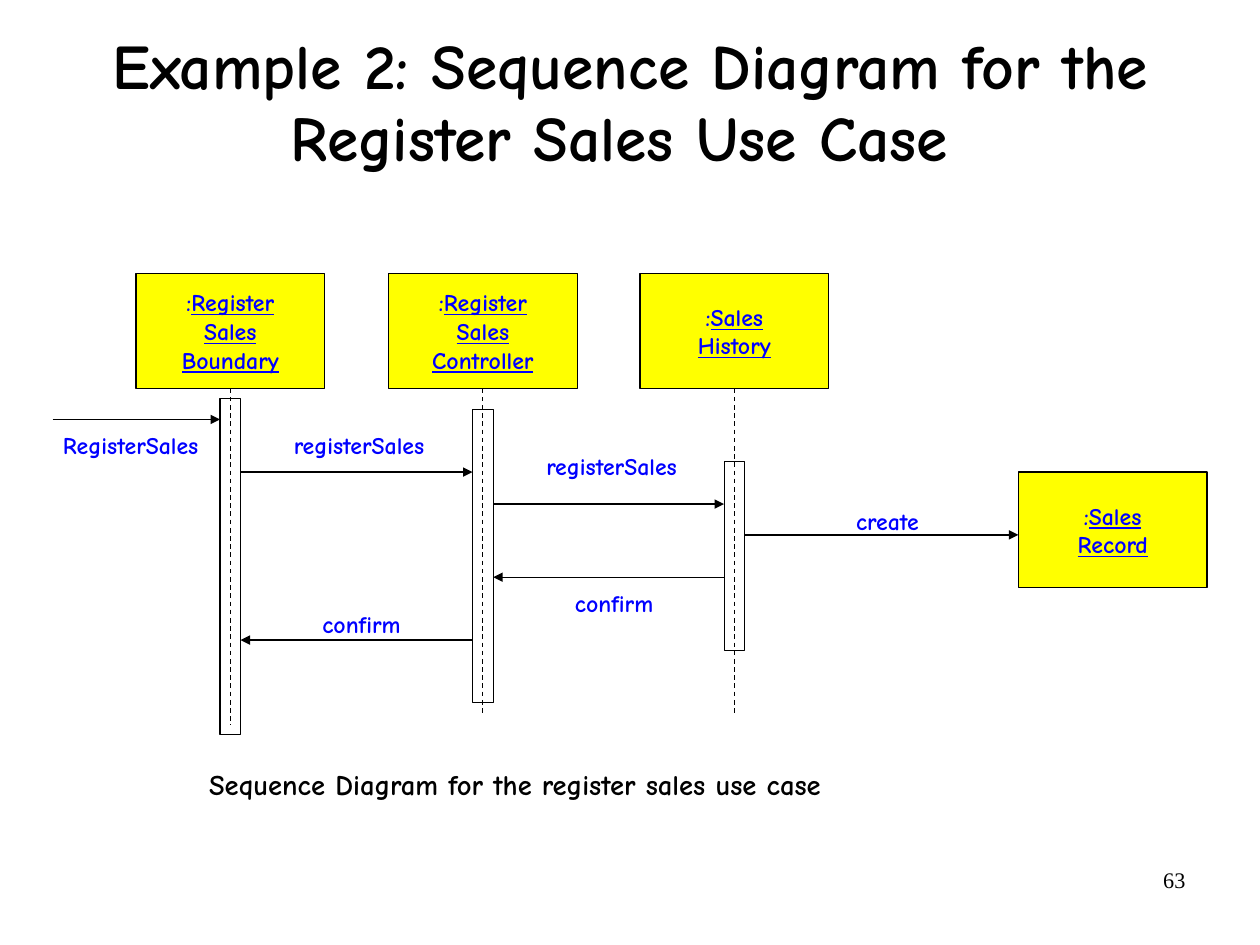
from dataclasses import dataclass
from typing import Optional

from lxml.etree import SubElement
from pptx import Presentation
from pptx.dml.color import RGBColor
from pptx.enum.dml import MSO_LINE
from pptx.enum.shapes import MSO_CONNECTOR, MSO_SHAPE
from pptx.enum.text import MSO_ANCHOR, PP_ALIGN
from pptx.oxml.ns import qn
from pptx.util import Cm, Inches, Pt

COLORS = {"ink": "000000", "label": "0000FF", "box": "FFFF00"}
FONT = "Comic Neue"
BOX_W, BOX_H, BAR_W = 1.65, 1.01, 0.18
HEAD_TOP = 2.39


@dataclass
class Participant:
    lines: list[str]
    left: float
    top: float = HEAD_TOP
    life_end: Optional[float] = None
    bar_top: float = 0
    bar_height: float = 0

    @property
    def center(self) -> float:
        return self.left + BOX_W / 2


@dataclass
class Message:
    text: str
    start: float
    end: float
    y: float
    label_left: float
    label_top: float
    label_width: float


def color(name: str) -> RGBColor:
    return RGBColor.from_string(COLORS[name])


def style(p, size: float, ink: str, font: str = FONT, bold: bool = True) -> None:
    p.font.name, p.font.size, p.font.bold = font, Pt(size), bold
    p.font.color.rgb = color(ink)


def set_margins(tf, x: float, y: float) -> None:
    tf.margin_left = tf.margin_right = Inches(x)
    tf.margin_top = tf.margin_bottom = Inches(y)


def add_text(slide, text: str, left: float, top: float, width: float, height: float,
             size: float, ink: str):
    sp = slide.shapes.add_textbox(Inches(left), Inches(top), Inches(width), Inches(height))
    tf = sp.text_frame
    tf.word_wrap = False
    set_margins(tf, 0, 0)
    tf.text = text
    style(tf.paragraphs[0], size, ink)
    return sp


def add_rect(slide, left: float, top: float, width: float, height: float):
    sp = slide.shapes.add_shape(MSO_SHAPE.RECTANGLE, Inches(left), Inches(top),
                                Inches(width), Inches(height))
    sp.shadow.inherit = False
    sp.fill.background()
    sp.line.color.rgb = color("ink")
    sp.line.width = Pt(0.75)
    return sp


def add_line(slide, x1: float, y1: float, x2: float, y2: float):
    line = slide.shapes.add_connector(MSO_CONNECTOR.STRAIGHT, Inches(x1), Inches(y1),
                                      Inches(x2), Inches(y2))
    line.line.color.rgb = color("ink")
    line.line.width = Pt(0.75)
    SubElement(line._element.spPr, qn("a:effectLst"))
    return line


def add_participant(slide, part: Participant) -> None:
    box = add_rect(slide, part.left, part.top, BOX_W, BOX_H)
    box.fill.solid()
    box.fill.fore_color.rgb = color("box")
    tf = box.text_frame
    tf.word_wrap = False
    tf.vertical_anchor = MSO_ANCHOR.MIDDLE
    set_margins(tf, 0.11, 0.06)
    for i, text in enumerate(part.lines):
        p = tf.add_paragraph() if i else tf.paragraphs[0]
        p.alignment = PP_ALIGN.CENTER
        style(p, 15, "label")
        if i == 0:
            p.add_run().text = ":"
        r = p.add_run()
        r.text = text
        r.font.underline = True

    # Lifeline and activation bar
    if part.life_end is not None:
        life = add_line(slide, part.center, part.top + BOX_H, part.center, part.life_end)
        life.begin_connect(box, 2)
        life.line.dash_style = MSO_LINE.DASH
        add_rect(slide, part.center - BAR_W / 2, part.bar_top, BAR_W, part.bar_height)


def add_message(slide, msg: Message) -> None:
    arrow = add_line(slide, msg.start, msg.y, msg.end, msg.y)
    SubElement(arrow.line._get_or_add_ln(), qn("a:tailEnd"), type="triangle")
    add_text(slide, msg.text, msg.label_left, msg.label_top, msg.label_width, 0.25,
             15, "label")


def main() -> None:
    prs = Presentation()
    prs.slide_width, prs.slide_height = Cm(28), Cm(21)
    slide = prs.slides.add_slide(prs.slide_layouts[5])

    # Title
    title = slide.shapes.title
    title.left, title.top = Inches(0.28), Inches(0.2)
    title.width, title.height = Inches(10.47), Inches(1.42)
    tf = title.text_frame
    tf.word_wrap = True
    tf.vertical_anchor = MSO_ANCHOR.MIDDLE
    set_margins(tf, 0.02, 0.06)
    tf.text = "Example 2: Sequence Diagram for the Register Sales Use Case "
    p = tf.paragraphs[0]
    p.alignment = PP_ALIGN.CENTER
    p.line_spacing = 0.94
    style(p, 40, "ink")

    # Participants
    boundary = Participant(["Register", "Sales", "Boundary"], 1.19,
                           life_end=6.34, bar_top=3.49, bar_height=2.94)
    controller = Participant(["Register", "Sales", "Controller"], 3.4,
                             life_end=6.25, bar_top=3.58, bar_height=2.57)
    history = Participant(["Sales", "History"], 5.6,
                          life_end=6.25, bar_top=4.04, bar_height=1.65)
    record = Participant(["Sales", "Record"], 8.91, top=4.13)
    for part in (boundary, controller, history, record):
        add_participant(slide, part)

    # Messages run between the facing sides of the activation bars
    half = BAR_W / 2
    b, c, h = boundary.center, controller.center, history.center
    messages = [
        Message("RegisterSales", 0.46, b - half, 3.67, 0.55, 3.77, 1.19),
        Message("registerSales", b + half, c - half, 4.13, 2.57, 3.77, 1.15),
        Message("registerSales", c + half, h - half, 4.41, 4.78, 3.95, 1.15),
        Message("create", h + half, record.left, 4.68, 7.49, 4.43, 0.56),
        Message("confirm", h - half, c + half, 5.05, 5.03, 5.15, 0.69),
        Message("confirm", c - half, b + half, 5.6, 2.82, 5.33, 0.69),
    ]
    for msg in messages:
        add_message(slide, msg)

    # Caption and page number
    add_text(slide, "Sequence Diagram for the register sales use case",
             1.83, 6.71, 5.38, 0.3, 18, "ink")
    number = add_text(slide, "63", 7.9, 7.53, 2.57, 0.57, 14, "ink").text_frame
    number.word_wrap = True
    set_margins(number, 0.1, 0.05)
    number.paragraphs[0].alignment = PP_ALIGN.RIGHT
    style(number.paragraphs[0], 14, "ink", "Times New Roman", False)

    prs.save("out.pptx")


if __name__ == "__main__":
    main()
